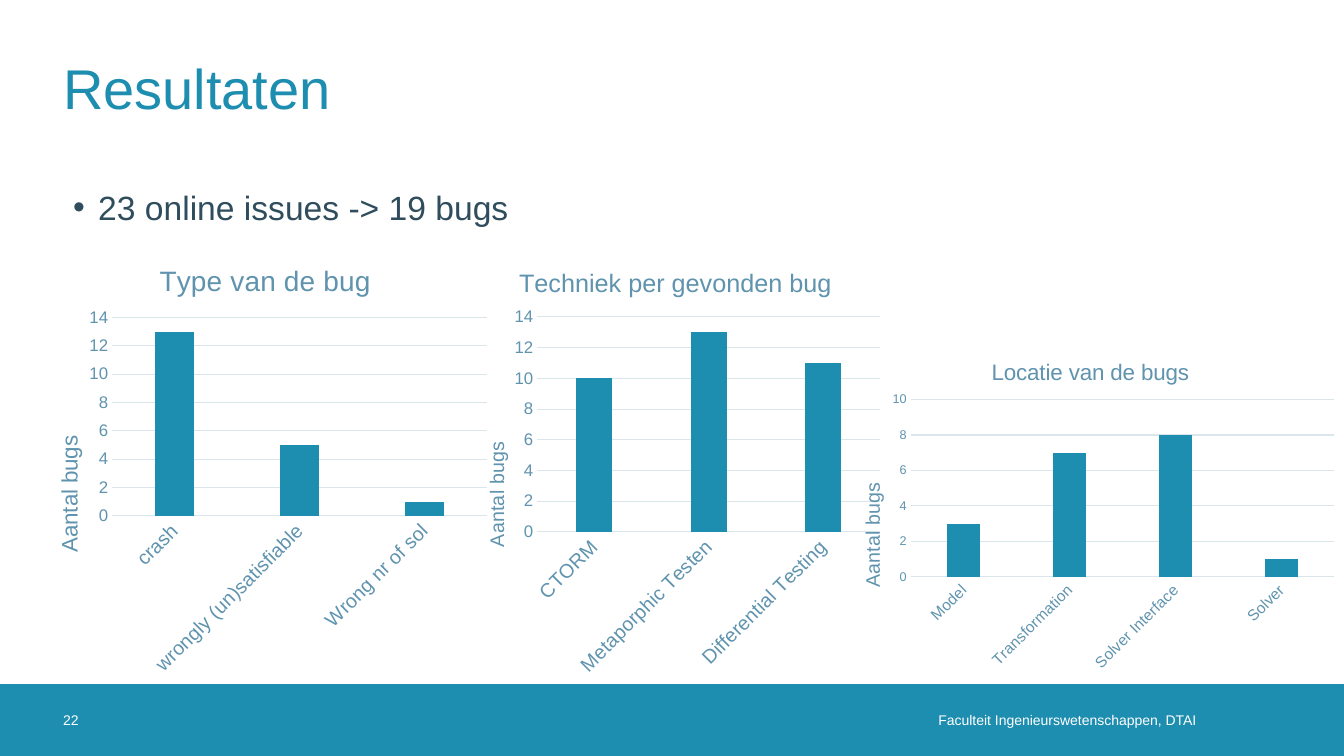
from lxml import etree
from pptx import Presentation
from pptx.chart.data import CategoryChartData
from pptx.dml.color import RGBColor
from pptx.enum.chart import XL_CHART_TYPE, XL_TICK_MARK
from pptx.enum.shapes import MSO_SHAPE
from pptx.enum.text import MSO_ANCHOR, PP_ALIGN
from pptx.oxml.ns import qn
from pptx.util import Inches, Pt

COLUMNS = XL_CHART_TYPE.COLUMN_CLUSTERED
NO_TICK = XL_TICK_MARK.NONE
RECT = MSO_SHAPE.RECTANGLE
MIDDLE, TOP = MSO_ANCHOR.MIDDLE, MSO_ANCHOR.TOP
LEFT, RIGHT = PP_ALIGN.LEFT, PP_ALIGN.RIGHT

WIDE, HIGH = Inches(13.33), Inches(7.5)
FACE = "Arial"
TEAL, SLATE, STEEL, PALE, WHITE = "1D8DB0", "2F4D5D", "5F93AE", "DAE6EC", "FFFFFF"
FOOT, FOOT_H = 90.5, 9.5  # footer band, in percent of the slide height
EDGE = 4.7  # left margin, in percent of the slide width

# box: percent of the slide; plot, head and side: percent of the chart
CHARTS = [
    dict(title="Type van de bug", box=(1.8, 31.3, 35, 59.2),
         data={"crash": 13, "wrongly (un)satisfiable": 5, "Wrong nr of sol": 1},
         top=14, sizes=(20, 16, 14, 12), plot=(18.7, 18.1, 79.6, 44.3),
         head=(27.7, 4.7), side=(5.7, 43.6)),
    dict(title="Techniek per gevonden bug", box=(33.8, 31.9, 32.3, 58.7),
         data={"CTORM": 10, "Metaporphic Testen": 13, "Differential Testing": 11},
         top=14, sizes=(18, 14, 14, 12), plot=(19.1, 17.1, 79, 48.4),
         head=(13.9, 4.7), side=(6, 44.4)),
    dict(title="Locatie van de bugs", box=(61.8, 44.3, 38.2, 45.5),
         data={"Model": 3, "Transformation": 7, "Solver Interface": 8, "Solver": 1},
         top=10, sizes=(16, 14, 11, 9), plot=(15.6, 18.8, 82.5, 51.6),
         head=(30.6, 5.5), side=(5, 41.9)),
]


def paint(hue):
    return RGBColor.from_string(hue)


def place(left, top, width, height):
    """Turn percents of the slide into lengths."""
    return (int(WIDE * left / 100), int(HIGH * top / 100),
            int(WIDE * width / 100), int(HIGH * height / 100))


def style(font, size, hue):
    font.name, font.size, font.bold = FACE, Pt(size), False
    font.color.rgb = paint(hue)


def add_text(slide, box, text, size, hue, align=LEFT, anchor=MIDDLE, pad=(0, 0, 0, 0)):
    frame = slide.shapes.add_textbox(*place(*box)).text_frame
    frame.word_wrap, frame.vertical_anchor = True, anchor
    (frame.margin_left, frame.margin_top,
     frame.margin_right, frame.margin_bottom) = map(Inches, pad)
    para = frame.paragraphs[0]
    para.text, para.alignment = text, align
    style(para.font, size, hue)
    return para


def add_bullet(para, indent):
    props = para._p.get_or_add_pPr()
    props.set("marL", str(indent))
    props.set("indent", str(-indent))
    etree.SubElement(props, qn("a:buFont")).set("typeface", FACE)
    etree.SubElement(props, qn("a:buChar")).set("char", "•")


def add_band(slide):
    band = slide.shapes.add_shape(RECT, *place(0, FOOT, 100, FOOT_H))
    band.shadow.inherit = False
    band.fill.solid()
    band.fill.fore_color.rgb = paint(TEAL)
    band.line.fill.background()


def pin(parent, spot, index):
    """Fix a chart part at a spot given in percent of the chart."""
    for old in parent.findall(qn("c:layout")):
        parent.remove(old)
    layout = etree.Element(qn("c:layout"))
    manual = etree.SubElement(layout, qn("c:manualLayout"))
    rules = [("xMode", "edge"), ("yMode", "edge")]
    if len(spot) == 4:
        rules.insert(0, ("layoutTarget", "inner"))
    rules += [(key, str(share / 100)) for key, share in zip("xywh", spot)]
    for key, value in rules:
        etree.SubElement(manual, qn("c:" + key)).set("val", value)
    parent.insert(index, layout)


def set_title(title, text, size, spot):
    frame = title.text_frame
    frame.text = text
    style(frame.paragraphs[0].font, size, STEEL)
    pin(title._element, spot, 1)
    return frame


def turn(body, degrees):
    body.set("rot", str(degrees * 60000))
    body.set("vert", "horz")


def set_axis(axis, size):
    axis.major_tick_mark = axis.minor_tick_mark = NO_TICK
    style(axis.tick_labels.font, size, STEEL)


def set_line(line):
    line.color.rgb, line.width = paint(PALE), Pt(0.75)


def add_bars(slide, title, box, data, top, sizes, plot, head, side):
    table = CategoryChartData()
    table.categories = list(data)
    table.add_series("Series 1", list(data.values()))
    chart = slide.shapes.add_chart(COLUMNS, *place(*box), table).chart
    style(chart.font, 10, SLATE)
    chart.has_legend = False
    head_size, side_size, cat_size, val_size = sizes
    set_title(chart.chart_title, title, head_size, head)

    bars = chart.plots[0]
    bars.vary_by_categories = False
    bars.gap_width, bars.overlap = 219, -27
    fill = bars.series[0].format.fill
    fill.solid()
    fill.fore_color.rgb = paint(TEAL)

    cats, vals = chart.category_axis, chart.value_axis
    set_axis(cats, cat_size)
    set_line(cats.format.line)
    turn(cats._element.find(qn("c:txPr")).find(qn("a:bodyPr")), -45)
    set_axis(vals, val_size)
    vals.format.line.fill.background()
    set_line(vals.major_gridlines.format.line)
    vals.minimum_scale, vals.maximum_scale, vals.major_unit = 0, top, 2
    frame = set_title(vals.axis_title, "Aantal bugs", side_size, side)
    turn(frame._txBody.find(qn("a:bodyPr")), -90)
    pin(chart._chartSpace.chart.plotArea, plot, 0)


def main():
    deck = Presentation()
    deck.slide_width, deck.slide_height = WIDE, HIGH
    slide = deck.slides.add_slide(deck.slide_layouts[6])
    add_band(slide)
    add_text(slide, (49.5, FOOT, 41, FOOT_H), "Faculteit Ingenieurswetenschappen, DTAI",
             10, WHITE, align=RIGHT, pad=(0, 0, 0.2, 0))
    add_text(slide, (EDGE, FOOT, 5.3, FOOT_H), "22", 10, WHITE)
    add_text(slide, (EDGE, 3.1, 90.5, 16.8), "Resultaten", 40, TEAL)
    point = add_text(slide, (EDGE, 24.1, 90.5, 65), "23 online issues -> 19 bugs",
                     24, SLATE, anchor=TOP, pad=(0.1, 0.05, 0.1, 0.05))
    add_bullet(point, Inches(0.25))
    for chart in CHARTS:
        add_bars(slide, **chart)
    deck.save("out.pptx")


if __name__ == "__main__":
    main()
